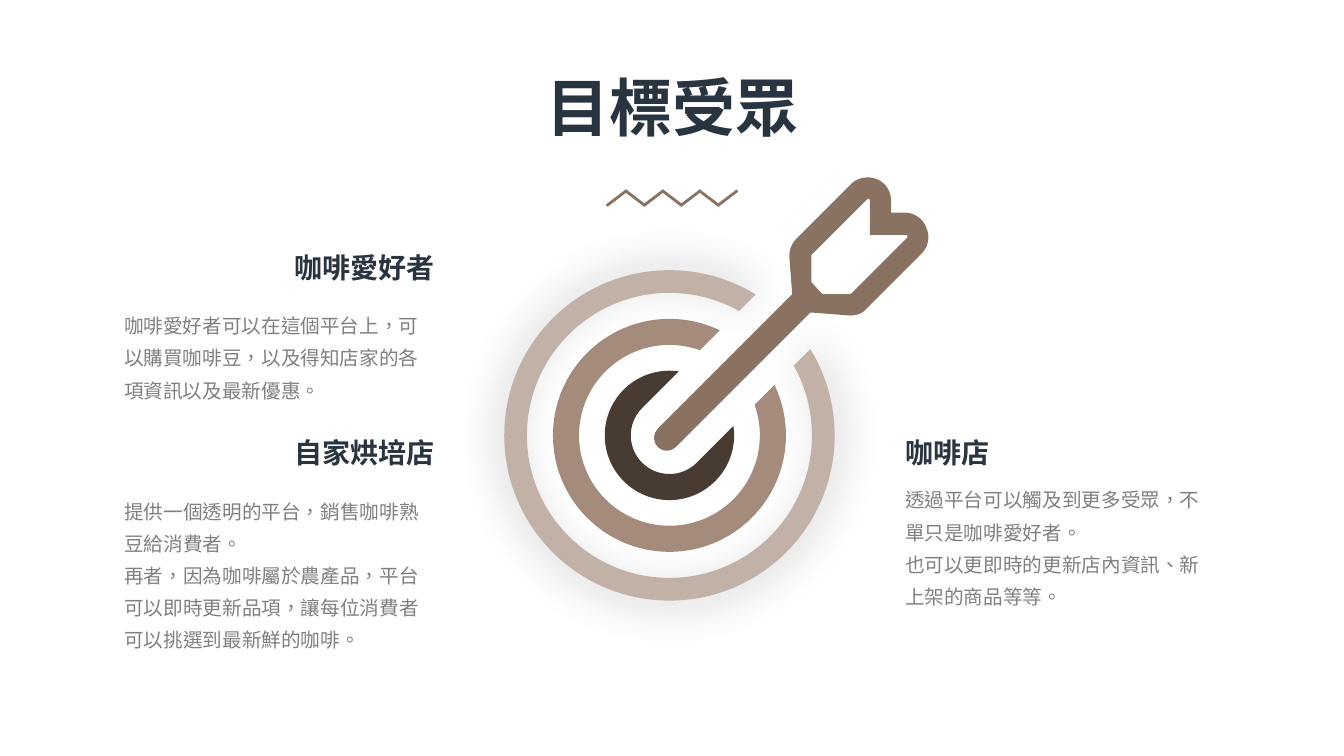
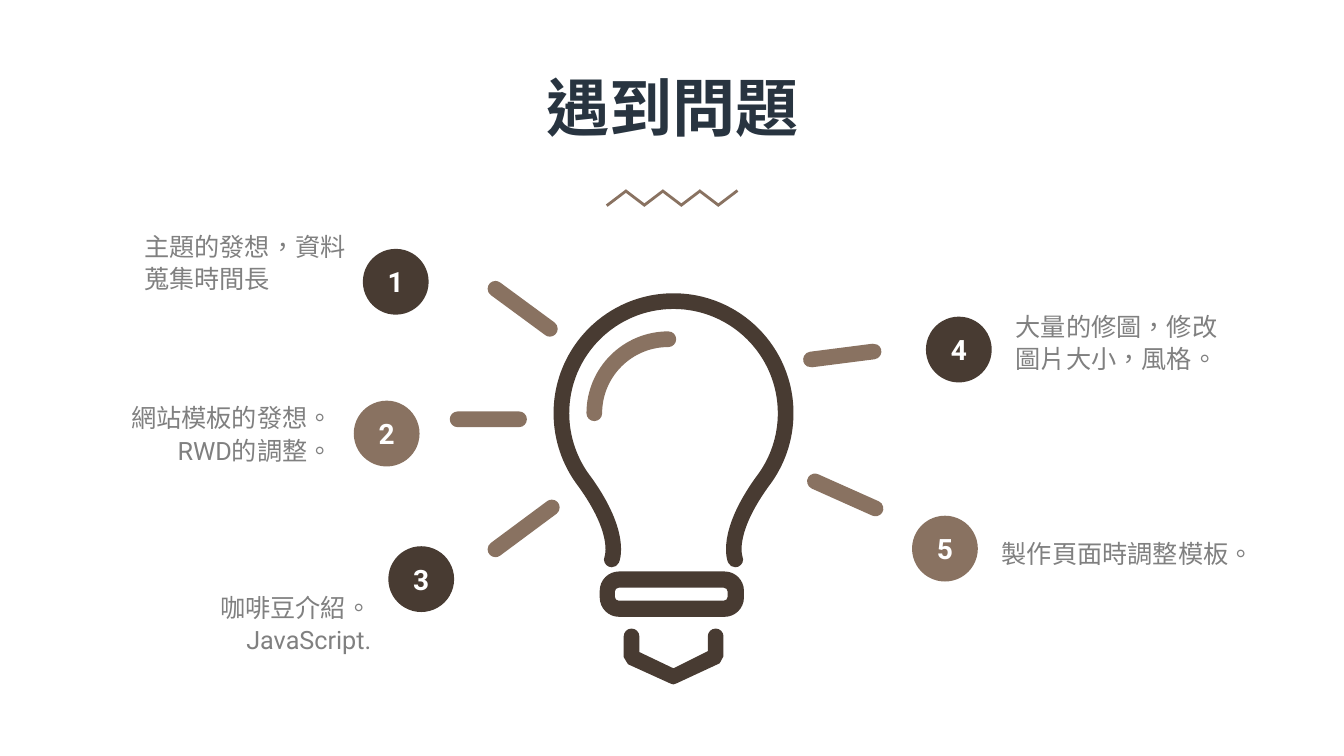
import math

import lxml.etree
import pptx
import pptx.dml.color
import pptx.enum.lang
import pptx.enum.shapes
import pptx.enum.text
import pptx.oxml.ns
import pptx.util

Pt = pptx.util.Pt
qn = pptx.oxml.ns.qn
ALIGN = pptx.enum.text.PP_ALIGN

# Shared look
NAVY, GREY, WHITE = "283440", "808080", "FFFFFF"
DARK, BROWN, TAN, PALE = "483B32", "897261", "A58B7B", "C2B1A6"
LATIN_FONT, CJK_FONT = "Roboto", "Noto Sans CJK JP"
PAGE_WIDTH, PAGE_HEIGHT = 960, 540
BODY_SPACING = 23

# Slide 1: heading, heading place, alignment, body paragraphs, body place
AUDIENCES = [
    ("咖啡店", (639.4, 307.4), ALIGN.LEFT,
     ["透過平台可以觸及到更多受眾，不單只是咖啡愛好者。",
      "也可以更即時的更新店內資訊、新上架的商品等等。"], (639.4, 339.1)),
    ("自家烘培店", (118.8, 307.4), ALIGN.RIGHT,
     ["提供一個透明的平台，銷售咖啡熟豆給消費者。",
      "再者，因為咖啡屬於農產品，平台可以即時更新品項，讓每位消費者可以挑選到最新鮮的咖啡。"],
     (81.7, 347)),
    ("咖啡愛好者", (118.8, 175.7), ALIGN.RIGHT,
     ["咖啡愛好者可以在這個平台上，可以購買咖啡豆，以及得知店家的各項資訊以及最新優惠。"],
     (81.5, 214.6)),
]
HEADING_WIDTH, BODY_WIDTH = 198.7, 236.2

# Target: rings as outer radius, inner radius, colour; all cut by one diagonal gap
TARGET_CENTRE, HALF_GAP = (478.2, 311), 27.6
RINGS = [(46.2, HALF_GAP, DARK), (83.2, 64.6, TAN), (118, 101.8, PALE)]

# Arrow: pieces are single corners or cubic curves
ARROW_TIP, SHAFT_RADIUS = (476.3, 312.8), 9.2
FLIGHT_LEFT = [
    [(661.7, 162.7), (659.5, 156.2), (653, 151.9), (646.6, 151.9)],
    [(636.5, 151.9)],
    [(636.5, 143.3), (636.5, 133.9), (629.3, 126.7), (619.9, 126.7),
     (615.6, 126.7), (611.3, 128.2), (608.4, 131)],
    [(568.8, 170.6), (565.9, 173.5), (563.8, 177.8), (563.8, 182.9)],
    [(565.9, 210.2)],
]
FLIGHT_RIGHT = [
    [(578.9, 223.2)],
    [(607, 225.4), (612, 225.4), (616.3, 224.1), (619.2, 220.3)],
    [(658.1, 181.4), (663.1, 176.4), (664.6, 169.2), (661.7, 162.7)],
]
FLIGHT_HOLE = [
    [(608.4, 209.5)], [(607, 210.2)], [(587.5, 210.2)], [(579.6, 201.6)], [(579.6, 182.2)],
    [(619.2, 142.6), (619.2, 141.8), (621.4, 141.1), (621.4, 143.3)],
    [(621.4, 167.8)],
    [(646.6, 167.8), (648.7, 167.8), (648.7, 169.2), (647.3, 170.6)],
]

# Slide 2: circle place, colour, paragraphs, alignment, text place and width
PROBLEMS = [
    ((259.2, 177.8), DARK, ["主題的發想，資料蒐集時間長"], ALIGN.LEFT, (95.8, 160.1), 167.8),
    ((252.7, 286.2), BROWN, ["網站模板的發想。", "RWD的調整。"], ALIGN.RIGHT, (77, 282.7), 167.8),
    ((277.4, 390.2), DARK, ["咖啡豆介紹。", "JavaScript."], ALIGN.RIGHT, (140.5, 417.8), 131.8),
    ((661.4, 226.2), DARK, ["大量的修圖，修改圖片大小，風格。"], ALIGN.LEFT, (718.5, 217.4), 167.8),
    ((651.5, 368.4), BROWN, ["製作頁面時調整模板。"], ALIGN.LEFT, (708.5, 379.4), 177.8),
]
CIRCLE_SIZE = 47

# Light bulb: one thickness for every part
HALF_STROKE = 5.6
GLASS_CENTRE, GLASS_RADIUS, NECK_ANGLE = (481.1, 295.2), 80.1, 142.4
NECK_INNER = [(422.1, 340.6), (450.7, 380.2), (442.8, 400.3), (442.1, 401.9)]
NECK_OUTER = [(431.9, 397.3), (431.9, 397.3), (437.8, 381.6), (413.2, 347.5)]
NECK_END, NECK_END_ANGLE = (437, 399.6), 24.7
SHINE_CENTRE, SHINE_RADIUS = (477.4, 295.2), 52.9
SOCKET_OUTER = (428.4, 408.2, 531.4, 440.6, 13.8)
SOCKET_INNER = (439.2, 419.8, 519.8, 429.1, 2.8)
CAP_ENDS = [(451.1, 454.6), (511.2, 454.6)]
CAP_INSIDE = [(456.7, 465.8), (481.1, 477.4), (505.6, 465.1)]
CAP_OUTSIDE = [(516.8, 468.7), (514.1, 473.8), (483.1, 488.2), (481, 488.9),
               (478.8, 488.2), (448.6, 474.5), (445.5, 469.4)]
# Rays: start, end, rotation of the shape
RAYS = [
    ((582.1, 343.9), (625.4, 363.2), 347.9), ((353.9, 206.3), (392.8, 234.9), 0),
    ((353.9, 392.4), (394.2, 362.5), 0), ((579.3, 256.8), (624, 251.1), 28.6),
    ((326.9, 299.5), (370.8, 299.5), 0),
]


def colour(code):
    return pptx.dml.color.RGBColor.from_string(code)


# Geometry: a curve is a start point followed by triples of cubic control points
def arc(centre, radius, start, end):
    low, high = sorted((start, end))
    stops = [a for a in range(-360, 721, 90) if low < a < high]
    stops = [low, *stops, high] if start < end else [high, *stops[::-1], low]
    points = []
    for first, last in zip(stops, stops[1:]):
        a, b = math.radians(first), math.radians(last)
        k = 4 / 3 * math.tan((b - a) / 4)
        units = [(math.cos(a), math.sin(a)),
                 (math.cos(a) - k * math.sin(a), math.sin(a) + k * math.cos(a)),
                 (math.cos(b) + k * math.sin(b), math.sin(b) - k * math.cos(b)),
                 (math.cos(b), math.sin(b))]
        curve = [(centre[0] + radius * x, centre[1] + radius * y) for x, y in units]
        points += curve[1:] if points else curve
    return points


def join(*pieces):
    """Chain pieces, with a straight step wherever two do not meet."""
    points = list(pieces[0])
    for piece in pieces[1:]:
        if math.dist(points[-1], piece[0]) > 0.5:
            points += [points[-1], piece[0], piece[0]]
        points += piece[1:]
    return points


def corners(points):
    return [[point] for point in points]


def cut_ring(outer, inner):
    outer_gap, inner_gap = [math.degrees(math.asin(HALF_GAP / r)) for r in (outer, inner)]
    return join(arc(TARGET_CENTRE, outer, outer_gap - 45, 315 - outer_gap),
                arc(TARGET_CENTRE, inner, 315 - inner_gap, inner_gap - 45))


def pill(start, end):
    angle = math.degrees(math.atan2(end[1] - start[1], end[0] - start[0]))
    return join(arc(end, HALF_STROKE, angle - 90, angle + 90),
                arc(start, HALF_STROKE, angle + 90, angle + 270))


def rounded_box(left, top, right, bottom, radius):
    centres = [(right - radius, bottom - radius), (left + radius, bottom - radius),
               (left + radius, top + radius), (right - radius, top + radius)]
    return join(*[arc(c, radius, 90 * i, 90 * i + 90) for i, c in enumerate(centres)])


def turn(point, centre, degrees):
    a, x, y = math.radians(degrees), point[0] - centre[0], point[1] - centre[1]
    return (centre[0] + x * math.cos(a) - y * math.sin(a),
            centre[1] + x * math.sin(a) + y * math.cos(a))


def bulb_glass():
    left = join(NECK_INNER, arc(NECK_END, HALF_STROKE, NECK_END_ANGLE, NECK_END_ANGLE + 180),
                NECK_OUTER)
    right = [(2 * GLASS_CENTRE[0] - x, y) for x, y in reversed(left)]
    far = 540 - NECK_ANGLE
    return join(left, arc(GLASS_CENTRE, GLASS_RADIUS + HALF_STROKE, NECK_ANGLE, far),
                right, arc(GLASS_CENTRE, GLASS_RADIUS - HALF_STROKE, far, NECK_ANGLE))


def bulb_shine():
    x, y = SHINE_CENTRE
    return join(arc(SHINE_CENTRE, SHINE_RADIUS + HALF_STROKE, 180, 270),
                arc((x, y - SHINE_RADIUS), HALF_STROKE, -90, 90),
                arc(SHINE_CENTRE, SHINE_RADIUS - HALF_STROKE, 270, 180),
                arc((x - SHINE_RADIUS, y), HALF_STROKE, 0, 180))


def bulb_cap():
    left_end, right_end = [arc(c, HALF_STROKE, 180, 360) for c in CAP_ENDS]
    return join(left_end, *corners(CAP_INSIDE), right_end, *corners(CAP_OUTSIDE))


# Drawing
def paint(shape, code):
    shape.shadow.inherit = False
    shape.fill.solid()
    shape.fill.fore_color.rgb = colour(code)
    shape.line.fill.background()


def add_outline(page, code, *contours):
    builder = None
    for contour in contours:
        start, *rest = [(Pt(x), Pt(y)) for x, y in contour]
        if builder is None:
            builder = page.shapes.build_freeform(*start)
        else:
            builder.move_to(*start)
        builder.add_line_segments(rest, close=True)
    shape = builder.convert_to_shape()
    # Every three straight steps become one cubic curve
    steps = list(shape.element.spPr.iter(qn("a:lnTo")))
    for i in range(0, len(steps), 3):
        curve = lxml.etree.Element(qn("a:cubicBezTo"))
        steps[i].addprevious(curve)
        for step in steps[i:i + 3]:
            curve.append(step[0])
            step.getparent().remove(step)
    paint(shape, code)
    return shape


def add_line(page, start, end, code, width):
    line = page.shapes.add_connector(
        pptx.enum.shapes.MSO_CONNECTOR.STRAIGHT, *[Pt(v) for v in start + end])
    line.line.color.rgb = colour(code)
    line.line.width = Pt(width)
    lxml.etree.SubElement(line.element.spPr, qn("a:effectLst"))


def write(frame, paragraphs, size, code, align, bold=False, font=LATIN_FONT, spacing=None):
    for number, text in enumerate(paragraphs):
        para = frame.paragraphs[0] if number == 0 else frame.add_paragraph()
        para.alignment = align
        if spacing:
            para.line_spacing = Pt(spacing)
        span = para.add_run()
        span.text = text
        span.font.size = Pt(size)
        span.font.bold = bold
        span.font.color.rgb = colour(code)
        span.font.name = font
        span.font.language_id = pptx.enum.lang.MSO_LANGUAGE_ID.TRADITIONAL_CHINESE
        lxml.etree.SubElement(span.font._element, qn("a:ea"), typeface=CJK_FONT)


def add_text(page, place, width, height, paragraphs, *style, **options):
    box = page.shapes.add_textbox(*[Pt(v) for v in (*place, width, height)])
    box.text_frame.word_wrap = True
    write(box.text_frame, paragraphs, *style, **options)


def add_body(page, place, width, paragraphs, size, align, lines):
    add_text(page, place, width, lines * BODY_SPACING + 7.2, paragraphs, size, GREY, align,
             spacing=BODY_SPACING)


def add_page(deck, title):
    page = deck.slides.add_slide(deck.slide_layouts[6])
    add_text(page, (0, 45.4), PAGE_WIDTH, 61.9, [title], 45, NAVY, ALIGN.CENTER,
             bold=True, font=CJK_FONT)
    # Zigzag under the title
    for i in range(7):
        left, heights = 433.4 + 13.2 * i, (146.9, 136.1)
        add_line(page, (left, heights[i % 2]), (left + 14.2, heights[1 - i % 2]), BROWN, 2)
    return page


def add_glow(shape):
    effects = shape.element.spPr.find(qn("a:effectLst"))
    glow = lxml.etree.SubElement(effects, qn("a:outerShdw"), blurRad=str(Pt(29)), dist="0",
                                 dir="0", sx="105000", sy="105000", algn="ctr",
                                 rotWithShape="0")
    tint = lxml.etree.SubElement(glow, qn("a:srgbClr"), val="000000")
    lxml.etree.SubElement(tint, qn("a:alpha"), val="14000")


def build_audience(deck):
    page = add_page(deck, "目標受眾")
    # Target and arrow
    for outer, inner, code in RINGS:
        ring = add_outline(page, code, cut_ring(outer, inner))
    add_glow(ring)
    tip = arc(ARROW_TIP, SHAFT_RADIUS, 225, 45)
    add_outline(page, BROWN, join(*FLIGHT_LEFT, tip, *FLIGHT_RIGHT), join(*FLIGHT_HOLE))
    # Audience texts
    for heading, heading_place, align, paragraphs, body_place in AUDIENCES:
        add_text(page, heading_place, HEADING_WIDTH, 31.7, [heading], 20, NAVY, align, bold=True)
        lines = sum(math.ceil(len(text) / 15) for text in paragraphs)
        add_body(page, body_place, BODY_WIDTH, paragraphs, 14, ALIGN.LEFT, lines)


def build_problems(deck):
    page = add_page(deck, "遇到問題")
    # Light bulb
    add_outline(page, BROWN, bulb_shine())
    add_outline(page, DARK, bulb_glass())
    add_outline(page, DARK, rounded_box(*SOCKET_OUTER), rounded_box(*SOCKET_INNER)[::-1])
    add_outline(page, DARK, bulb_cap())
    for start, end, rotation in RAYS:
        middle = ((start[0] + end[0]) / 2, (start[1] + end[1]) / 2)
        ray = add_outline(page, BROWN, pill(*[turn(p, middle, -rotation) for p in (start, end)]))
        ray.rotation = rotation
    # Numbered problems
    for number, (place, code, paragraphs, align, text_place, width) in enumerate(PROBLEMS, 1):
        circle = page.shapes.add_shape(pptx.enum.shapes.MSO_SHAPE.OVAL,
                                       *[Pt(v) for v in (*place, CIRCLE_SIZE, CIRCLE_SIZE)])
        paint(circle, code)
        frame = circle.text_frame
        frame.margin_left = frame.margin_right = frame.margin_top = frame.margin_bottom = 0
        frame.vertical_anchor = pptx.enum.text.MSO_ANCHOR.MIDDLE
        write(frame, [str(number)], 20, WHITE, ALIGN.CENTER, bold=True)
        add_body(page, text_place, width, paragraphs, 18, align, 2 if number < 5 else 1)


def main():
    deck = pptx.Presentation()
    deck.slide_width, deck.slide_height = Pt(PAGE_WIDTH), Pt(PAGE_HEIGHT)
    build_audience(deck)
    build_problems(deck)
    deck.save("out.pptx")


if __name__ == "__main__":
    main()
